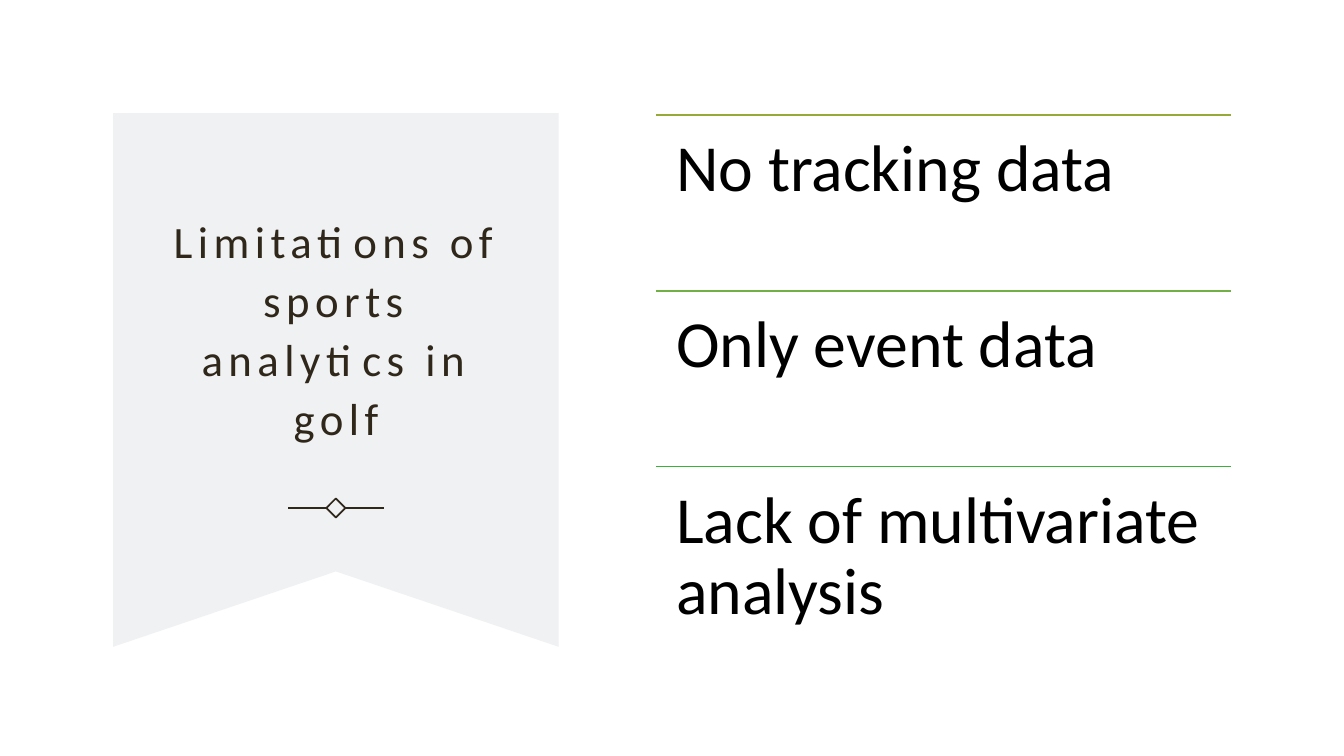
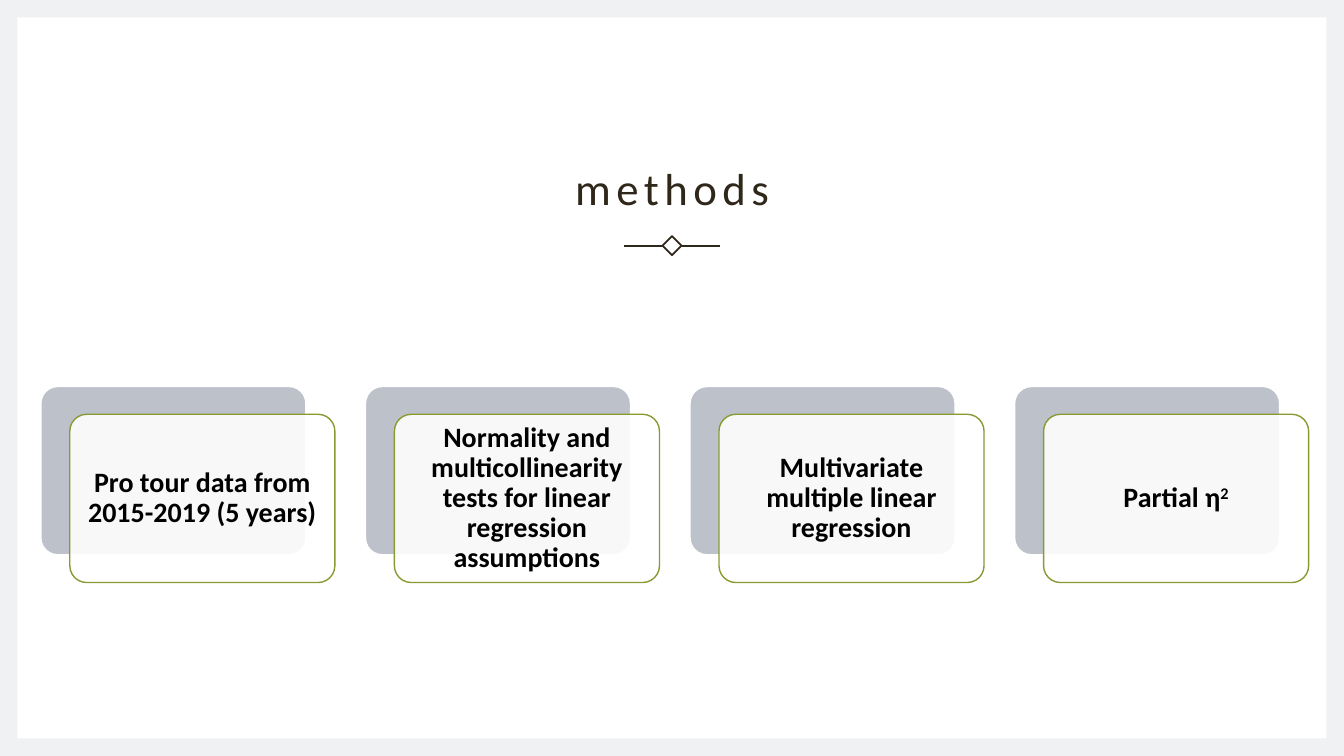
import pptx
import pptx.util
import pptx.dml.color
import pptx.enum.shapes
import pptx.enum.text
from lxml import etree
from pptx.oxml.ns import qn
from pptx.util import Cm, Pt

SHAPE = pptx.enum.shapes.MSO_SHAPE
ALIGN = pptx.enum.text.PP_ALIGN
ANCHOR = pptx.enum.text.MSO_ANCHOR

# Content
LIMITS_TITLE = "Limitations of sports analytics in golf"
LIMITS = [
    ("No tracking data", "97AA38"),
    ("Only event data", "71B045"),
    ("Lack of multivariate analysis", "3BB13B"),
]
METHODS_TITLE = "methods"
# Each method is a list of (text, is superscript) runs
METHODS = [
    [("Pro tour data from 2015-2019 (5 years)", False)],
    [("Normality and multicollinearity tests for linear regression assumptions", False)],
    [("Multivariate multiple linear regression", False)],
    [("Partial η", False), ("2", True)],
]


class Theme:
    font = "Calibri"
    white, black = "FFFFFF", "000000"
    pale, ink = "F0F1F3", "30271B"
    card_back, card_edge = "ADB2BD", "899A33"
    title_size, limit_size, method_size = 32, 47, 20
    title_tracking = 3.9
    ornament_line, thin_line = 1.25, 1


SLIDE_W, SLIDE_H = 33.87, 19.05


# Shared helpers; all lengths are in centimetres
def rgb(code):
    return pptx.dml.color.RGBColor.from_string(code)


def box(*lengths):
    return [Cm(length) for length in lengths]


def new_slide(deck, background):
    slide = deck.slides.add_slide(deck.slide_layouts[6])
    slide.background.fill.solid()
    slide.background.fill.fore_color.rgb = rgb(background)
    return slide


def paint(shape, fill=None, line=None, width=Theme.thin_line, opacity=100):
    shape.shadow.inherit = False
    if fill:
        shape.fill.solid()
        shape.fill.fore_color.rgb = rgb(fill)
        if opacity < 100:
            color = shape.fill._xPr.find(qn("a:solidFill"))[0]
            etree.SubElement(color, qn("a:alpha"), val=str(opacity * 1000))
    else:
        shape.fill.background()
    if line:
        shape.line.color.rgb = rgb(line)
        shape.line.width = Pt(width)
    else:
        shape.line.fill.background()
    return shape


def add_line(slide, start, end, color, width):
    line = slide.shapes.add_connector(
        pptx.enum.shapes.MSO_CONNECTOR.STRAIGHT, *box(*start, *end))
    line.line.color.rgb = rgb(color)
    line.line.width = Pt(width)
    etree.SubElement(line._element.spPr, qn("a:effectLst"))
    return line


def write(shape, runs, size, color, align=ALIGN.CENTER, anchor=ANCHOR.MIDDLE,
          spacing=0.9, inset=None, bold=False, tracking=0):
    frame = shape.text_frame
    frame.word_wrap = True
    frame.vertical_anchor = anchor
    if inset is not None:
        frame.margin_left = frame.margin_right = Cm(inset)
        frame.margin_top = frame.margin_bottom = Cm(inset)
    paragraph = frame.paragraphs[0]
    paragraph.alignment = align
    paragraph.line_spacing = spacing
    for text, superscript in runs:
        run = paragraph.add_run()
        run.text = text
        run.font.name = Theme.font
        run.font.size = Pt(size)
        run.font.bold = bold
        run.font.color.rgb = rgb(color)
        properties = run._r.get_or_add_rPr()
        if tracking:
            properties.set("spc", str(round(tracking * 100)))
        if superscript:
            properties.set("baseline", "30000")


def add_title(slide, text, place, anchor):
    write(slide.shapes.add_textbox(*box(*place)), [(text, False)],
          Theme.title_size, Theme.ink, anchor=anchor, spacing=1.1,
          tracking=Theme.title_tracking)


def add_ornament(slide, center_x, center_y):
    half, reach = 0.24, 1.21
    diamond = paint(
        slide.shapes.add_shape(SHAPE.DIAMOND, *box(
            center_x - half, center_y - half, 2 * half, 2 * half)),
        line=Theme.ink, width=Theme.ornament_line)
    for side, corner in ((-1, 1), (1, 3)):
        arm = add_line(slide, (center_x + side * half, center_y),
                       (center_x + side * reach, center_y),
                       Theme.ink, Theme.ornament_line)
        arm.begin_connect(diamond, corner)


# Slide 1: ribbon with the title, ruled list beside it
def build_limits(deck):
    slide = new_slide(deck, Theme.white)
    left, top, right, bottom, notch = 2.85, 2.85, 14.08, 16.3, 14.4
    middle = (left + right) / 2
    outline = slide.shapes.build_freeform(Cm(left), Cm(top))
    outline.add_line_segments(
        [box(right, top), box(right, bottom), box(middle, notch), box(left, bottom)],
        close=True)
    paint(outline.convert_to_shape(), fill=Theme.pale)
    add_title(slide, LIMITS_TITLE, (3.96, 4.6, 9.02, 7.24), ANCHOR.MIDDLE)
    add_ornament(slide, middle, 12.8)

    list_left, list_top, list_width, row_height = 16.54, 2.9, 14.48, 4.43
    for row, (limit, color) in enumerate(LIMITS):
        y = list_top + row * row_height
        add_line(slide, (list_left, y), (list_left + list_width, y),
                 color, Theme.thin_line)
        entry = slide.shapes.add_textbox(*box(list_left, y, list_width, row_height))
        write(entry, [(limit, False)], Theme.limit_size, Theme.black,
              align=ALIGN.LEFT, anchor=ANCHOR.TOP, inset=0.5)


# Slide 2: framed page with a row of layered cards
def build_methods(deck):
    slide = new_slide(deck, Theme.pale)
    edge = 0.44
    page = slide.shapes.add_shape(SHAPE.RECTANGLE, *box(
        edge, edge, SLIDE_W - 2 * edge, SLIDE_H - 2 * edge))
    paint(page, fill=Theme.white)
    add_title(slide, METHODS_TITLE, (2.87, 2.67, 28.14, 2.87), ANCHOR.BOTTOM)
    add_ornament(slide, SLIDE_W / 2, 6.19)

    row_left, row_top, step = 1.03, 9.74, 8.18
    card_width, card_height = 6.68, 4.24
    layers = [  # shift right, shift down, fill, opacity, line
        (0, 0, Theme.card_back, 80, Theme.white),
        (0.73, 0.7, Theme.white, 90, Theme.card_edge),
    ]
    for column, method in enumerate(METHODS):
        for right, down, fill, opacity, line in layers:
            card = slide.shapes.add_shape(SHAPE.ROUNDED_RECTANGLE, *box(
                row_left + column * step + right, row_top + down,
                card_width, card_height))
            card.adjustments[0] = 0.1
            paint(card, fill, line, opacity=opacity)
        # The front card carries the text
        write(card, method, Theme.method_size, Theme.black, inset=0.2, bold=True)


def main():
    deck = pptx.Presentation()
    deck.slide_width, deck.slide_height = box(SLIDE_W, SLIDE_H)
    build_limits(deck)
    build_methods(deck)
    deck.save("out.pptx")


if __name__ == "__main__":
    main()
